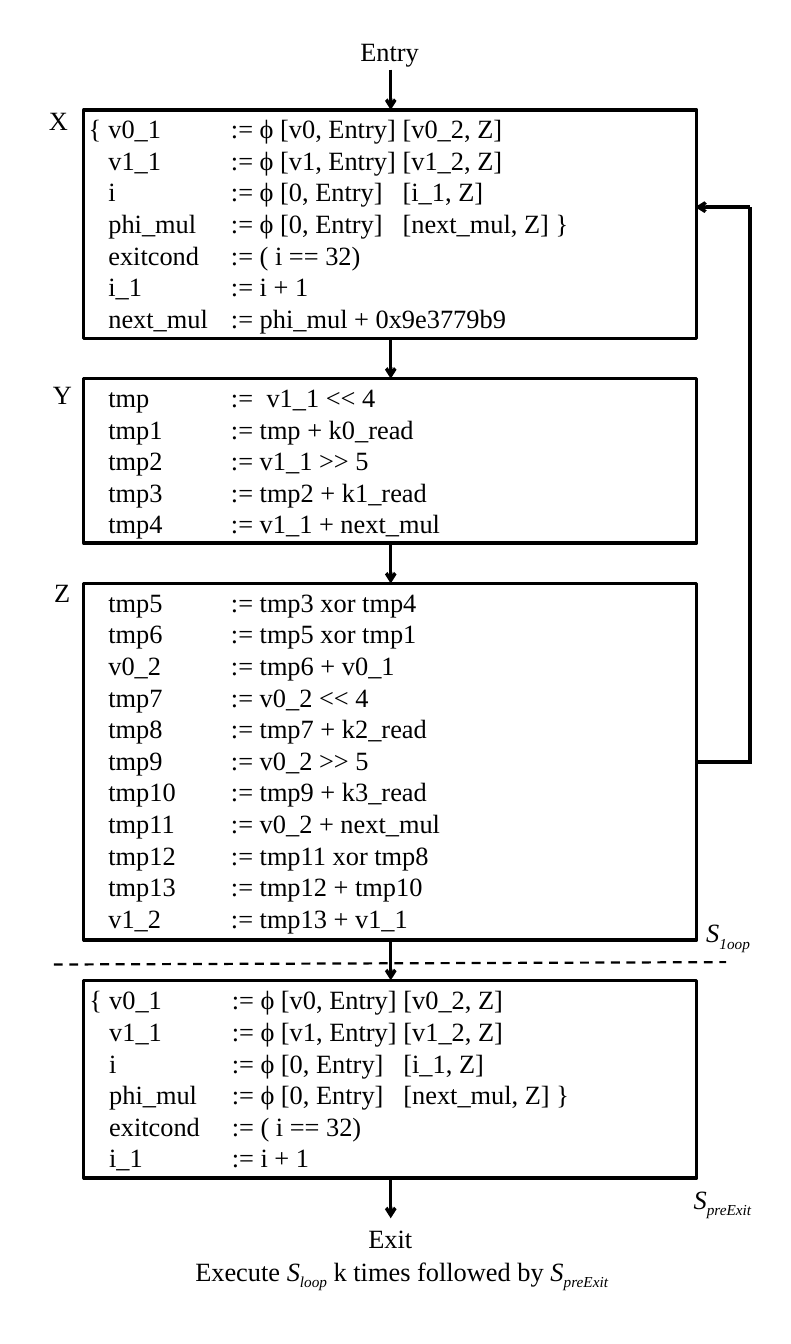
from dataclasses import dataclass

from pptx import Presentation
from pptx import util as u
from pptx.dml.color import RGBColor
from pptx.enum import dml, shapes, text
from pptx.oxml import parse_xml
from pptx.oxml.ns import nsdecls

SCALE = 9144  # EMU in one px, 100 px to the inch


@dataclass(frozen=True)
class Theme:
    ink: RGBColor = RGBColor(0, 0, 0)
    face: str = "Times New Roman"
    size: int = 24
    lead: float = 28.8
    edge: int = 3
    thin: int = 2
    tabs: tuple[int, ...] = (25, 180, 225, 397)


@dataclass(frozen=True)
class Block:
    top: int
    high: int
    rows: tuple[str, ...]
    pad: tuple[int, int] = (6, 3)


@dataclass(frozen=True)
class Label:
    box: tuple[int, int, int, int]
    runs: tuple[tuple[str, str], ...]  # words and style: plain, it or sub
    mid: bool = False
    pad: tuple[int, int] = (10, 5)


@dataclass(frozen=True)
class Link:
    start: tuple[int, int]
    end: tuple[int, int]
    arrow: bool = True
    dash: bool = False


LOOK = Theme()
LEFT, WIDE, MID, BACK = 106, 775, 494, 948
TIGHT = (6, 3)

# Code rows: a bar parts the columns
HEAD = (
    "{|v0_1|:= ϕ [v0, Entry]|[v0_2, Z]",
    "|v1_1|:= ϕ [v1, Entry]|[v1_2, Z]",
    "|i|:= ϕ [0, Entry]|[i_1, Z]",
    "|phi_mul|:= ϕ [0, Entry]|[next_mul, Z] }",
    "|exitcond|:= ( i == 32)",
    "|i_1|:= i + 1",
)
BLOCKS = (
    Block(139, 289, HEAD + ("|next_mul|:= phi_mul + 0x9e3779b9",)),
    Block(479, 208, (
        "|tmp|:=|v1_1 << 4",
        "|tmp1|:= tmp + k0_read",
        "|tmp2|:= v1_1 >> 5",
        "|tmp3|:= tmp2 + k1_read",
        "|tmp4|:= v1_1 + next_mul",
    )),
    Block(738, 451, (
        "|tmp5|:= tmp3 xor tmp4",
        "|tmp6|:= tmp5 xor tmp1",
        "|v0_2|:= tmp6 + v0_1",
        "|tmp7|:= v0_2 << 4",
        "|tmp8|:= tmp7 + k2_read",
        "|tmp9|:= v0_2 >> 5",
        "|tmp10|:= tmp9 + k3_read",
        "|tmp11|:= v0_2 + next_mul",
        "|tmp12|:= tmp11 xor tmp8",
        "|tmp13|:= tmp12 + tmp10",
        "|v1_2|:= tmp13 + v1_1",
    )),
    Block(1240, 250, HEAD, (7, 4)),
)
LABELS = (
    Label((429, 41, 127, 47), (("Entry", "plain"),), True, TIGHT),
    Label((51, 129, 46, 47), (("X", "plain"),), True, TIGHT),
    Label((56, 475, 46, 47), (("Y", "plain"),), True, TIGHT),
    Label((57, 726, 43, 47), (("Z", "plain"),), True, TIGHT),
    Label((883, 1160, 97, 50), (("S", "it"), ("1oop", "sub"))),
    Label((867, 1497, 121, 50), (("S", "it"), ("preExit", "sub"))),
    Label((447, 1541, 93, 52), (("Exit", "plain"),), True),
    Label((237, 1588, 568, 52), (
        ("Execute ", "plain"), ("S", "it"), ("loop", "sub"),
        (" k times followed by ", "plain"), ("S", "it"), ("preExit", "sub"),
    )),
)
# Flow arrows fill the gaps above, between and below the blocks
STOPS = [88, *(y for b in BLOCKS for y in (b.top, b.top + b.high)), 1541]
LINKS = [Link((MID, a), (MID, b)) for a, b in zip(STOPS[::2], STOPS[1::2])] + [
    Link((LEFT + WIDE, 964), (BACK, 964), arrow=False),
    Link((BACK, 262), (BACK, 966), arrow=False),
    Link((BACK, 262), (879, 262)),
    Link((68, 1220), (918, 1217), arrow=False, dash=True),
]


def px(n: int) -> u.Emu:
    return u.Emu(n * SCALE)


def put(item, form: dict) -> None:
    for key, val in form.items():
        setattr(item, key, val)


def frame(shape, pad: tuple[int, int]):
    side, edge = map(px, pad)
    body = shape.text_frame
    put(body, {
        "margin_left": side, "margin_right": side,
        "margin_top": edge, "margin_bottom": edge,
        "word_wrap": True, "vertical_anchor": text.MSO_ANCHOR.TOP,
    })
    return body


def line_up(para, mid: bool = False) -> None:
    put(para, {
        "line_spacing": u.Pt(LOOK.lead),
        "alignment": text.PP_ALIGN.CENTER if mid else text.PP_ALIGN.LEFT,
    })


def write(para, words: str, style: str = "plain") -> None:
    run = para.add_run()
    run.text = words
    put(run.font, {"name": LOOK.face, "size": u.Pt(LOOK.size),
                   "italic": style != "plain"})
    run.font.color.rgb = LOOK.ink
    if style == "sub":
        run._r.get_or_add_rPr().set("baseline", "-25000")


def draw_block(slide, block: Block) -> None:
    shape = slide.shapes.add_shape(
        shapes.MSO_SHAPE.RECTANGLE, *map(px, (LEFT, block.top, WIDE, block.high)))
    shape.shadow.inherit = False
    shape.fill.background()
    shape.line.color.rgb = LOOK.ink
    shape.line.width = u.Pt(LOOK.edge)
    body = frame(shape, block.pad)
    tabs = "".join(f'<a:tab pos="{px(n)}" algn="l"/>' for n in LOOK.tabs)
    for n, row in enumerate(block.rows):
        para = body.add_paragraph() if n else body.paragraphs[0]
        line_up(para)
        para._p.get_or_add_pPr().append(
            parse_xml(f'<a:tabLst {nsdecls("a")}>{tabs}</a:tabLst>'))
        write(para, row.replace("|", "\t"))


def draw_label(slide, label: Label) -> None:
    body = frame(slide.shapes.add_textbox(*map(px, label.box)), label.pad)
    para = body.paragraphs[0]
    line_up(para, label.mid)
    for words, style in label.runs:
        write(para, words, style)


def draw_link(slide, link: Link) -> None:
    wire = slide.shapes.add_connector(
        shapes.MSO_CONNECTOR.STRAIGHT, *map(px, link.start + link.end))
    wire.line.color.rgb = LOOK.ink
    wire.line.width = u.Pt(LOOK.thin if link.dash else LOOK.edge)
    if link.dash:
        wire.line.dash_style = dml.MSO_LINE.DASH
    if link.arrow:
        wire.line._get_or_add_ln().append(
            parse_xml(f'<a:tailEnd {nsdecls("a")} type="arrow"/>'))
    wire._element.spPr.append(parse_xml(f'<a:effectLst {nsdecls("a")}/>'))


def main() -> None:
    deck = Presentation()
    put(deck, {"slide_width": px(1000), "slide_height": px(1700)})
    slide = deck.slides.add_slide(deck.slide_layouts[6])
    for draw, items in ((draw_block, BLOCKS), (draw_link, LINKS),
                        (draw_label, LABELS)):
        for item in items:
            draw(slide, item)
    deck.save("out.pptx")


if __name__ == "__main__":
    main()
